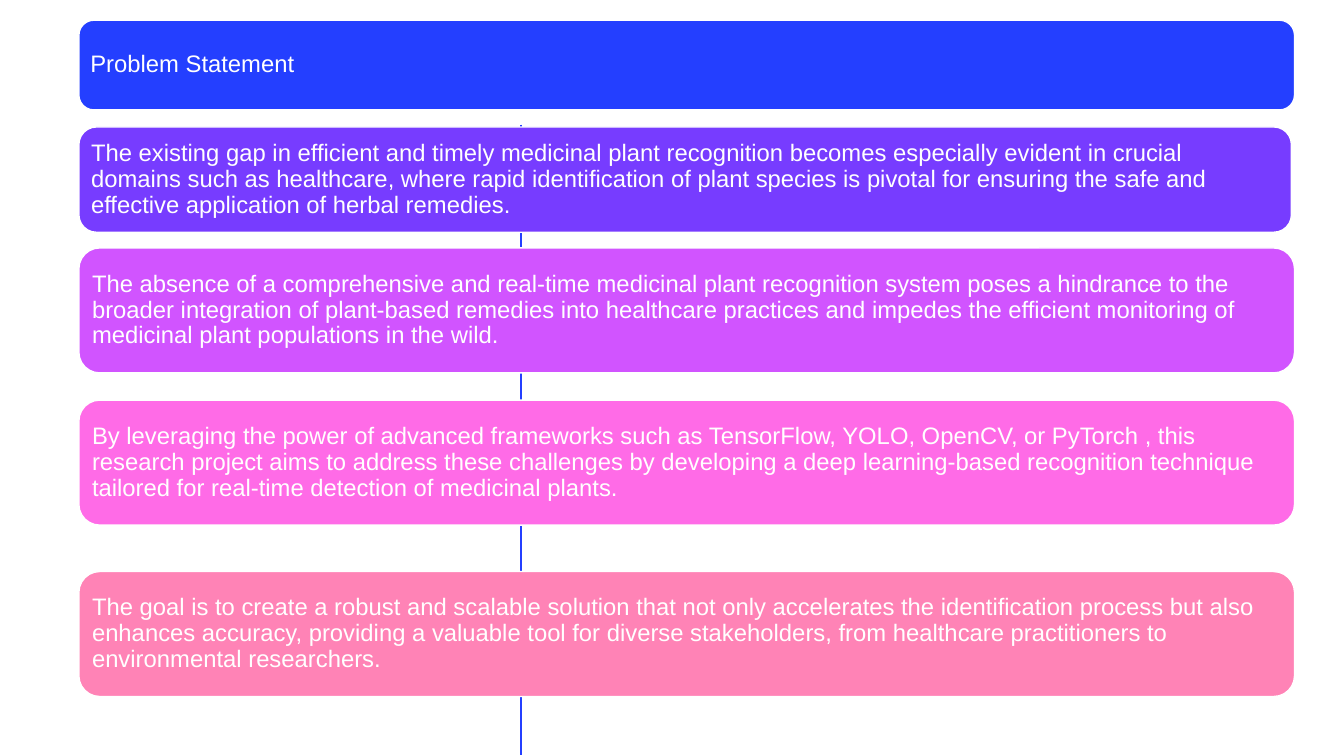
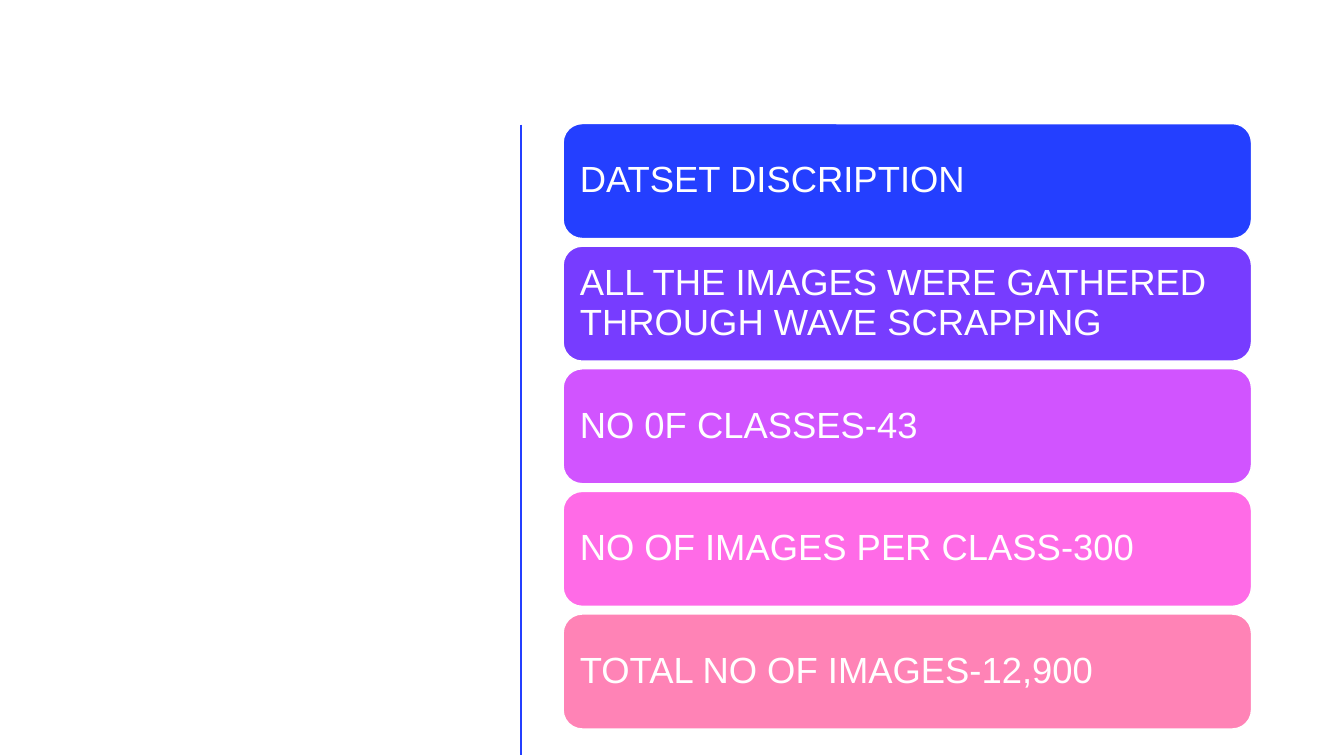
"""Build two slides of stacked, coloured text cards beside a vertical rule."""
from lxml import etree
from pptx import Presentation
from pptx.dml.color import RGBColor
from pptx.enum.shapes import MSO_CONNECTOR, MSO_SHAPE
from pptx.enum.text import MSO_ANCHOR, PP_ALIGN
from pptx.oxml.ns import qn
from pptx.util import Inches, Pt

ROUND = MSO_SHAPE.ROUNDED_RECTANGLE
LINE = MSO_CONNECTOR.STRAIGHT
MIDDLE = MSO_ANCHOR.MIDDLE
LEFT = PP_ALIGN.LEFT

WIDE = Inches(13.33)
HIGH = Inches(7.5)
FONT = "Arial"

WHITE = RGBColor(0xFF, 0xFF, 0xFF)
BLUE = RGBColor(0x24, 0x3F, 0xFF)
VIOLET = RGBColor(0x77, 0x3C, 0xFF)
ORCHID = RGBColor(0xD1, 0x54, 0xFF)
PINK = RGBColor(0xFF, 0x6B, 0xE7)
ROSE = RGBColor(0xFF, 0x83, 0xB6)
FILLS = (BLUE, VIOLET, ORCHID, PINK, ROSE)

PROBLEM = (
    "Problem Statement",
    "The existing gap in efficient and timely medicinal plant recognition "
    "becomes especially evident in crucial domains such as healthcare, where "
    "rapid identification of plant species is pivotal for ensuring the safe "
    "and effective application of herbal remedies.",
    "The absence of a comprehensive and real-time medicinal plant recognition "
    "system poses a hindrance to the broader integration of plant-based "
    "remedies into healthcare practices and impedes the efficient monitoring "
    "of medicinal plant populations in the wild.",
    "By leveraging the power of advanced frameworks such as TensorFlow, YOLO, "
    "OpenCV, or PyTorch , this research project aims to address these "
    "challenges by developing a deep learning-based recognition technique "
    "tailored for real-time detection of medicinal plants.",
    "The goal is to create a robust and scalable solution that not only "
    "accelerates the identification process but also enhances accuracy, "
    "providing a valuable tool for diverse stakeholders, from healthcare "
    "practitioners to environmental researchers.",
)
DATA = (
    "DATSET DISCRIPTION",
    "ALL THE IMAGES WERE GATHERED THROUGH WAVE SCRAPPING",
    "NO 0F CLASSES-43",
    "NO OF IMAGES PER CLASS-300",
    "TOTAL NO OF IMAGES-12,900",
)


def across(part):
    return round(WIDE * part / 100)


def down(part):
    return round(HIGH * part / 100)


def write(shape, text, size, inset, color=WHITE):
    frame = shape.text_frame
    frame.word_wrap = True
    frame.vertical_anchor = MIDDLE
    frame.margin_left = frame.margin_right = Inches(inset)
    frame.margin_top = frame.margin_bottom = Inches(inset)
    para = frame.paragraphs[0]
    para.text = text
    para.alignment = LEFT
    para.line_spacing = 0.9
    para.font.name = FONT
    para.font.size = Pt(size)
    para.font.color.rgb = color


def card(slide, box, fill, text, **style):
    left, top, width, height = box
    shape = slide.shapes.add_shape(
        ROUND, across(left), down(top), across(width), down(height))
    shape.shadow.inherit = False
    shape.fill.solid()
    shape.fill.fore_color.rgb = fill
    shape.line.color.rgb = WHITE
    shape.line.width = Pt(1)
    write(shape, text, **style)


def rule(slide):
    left = across(38.77)
    line = slide.shapes.add_connector(LINE, left, down(16.5), left, down(99.9))
    line.line.color.rgb = BLUE
    line.line.width = Pt(2)
    etree.SubElement(line.element.spPr, qn("a:effectLst"))


def stack(deck, boxes, texts, **style):
    slide = deck.slides.add_slide(deck.slide_layouts[6])
    rule(slide)
    for box, fill, text in zip(boxes, FILLS, texts):
        card(slide, box, fill, text, **style)


def main():
    deck = Presentation()
    deck.slide_width = WIDE
    deck.slide_height = HIGH
    bands = ((2.67, 90.45, 11.87), (16.8, 90.22, 13.93), (32.8, 90.45, 16.53),
             (52.93, 90.45, 16.53), (75.6, 90.45, 16.53))
    full = [(5.87, *band) for band in bands]
    even = [(41.9, 16.35 + 16.22 * row, 51.22, 15.2)
            for row in range(len(DATA))]
    stack(deck, full, PROBLEM, size=17, inset=0.07)
    stack(deck, even, DATA, size=26, inset=0.11)
    deck.save("out.pptx")


if __name__ == "__main__":
    main()
